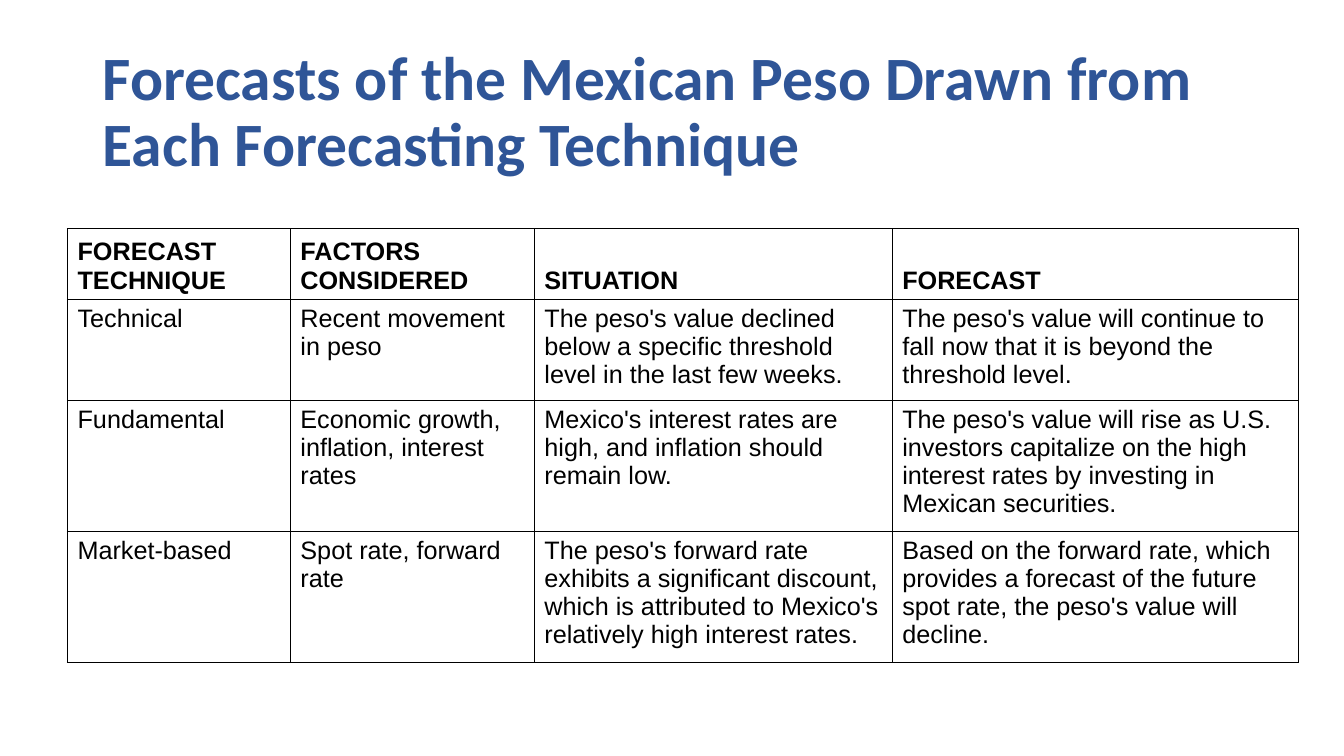
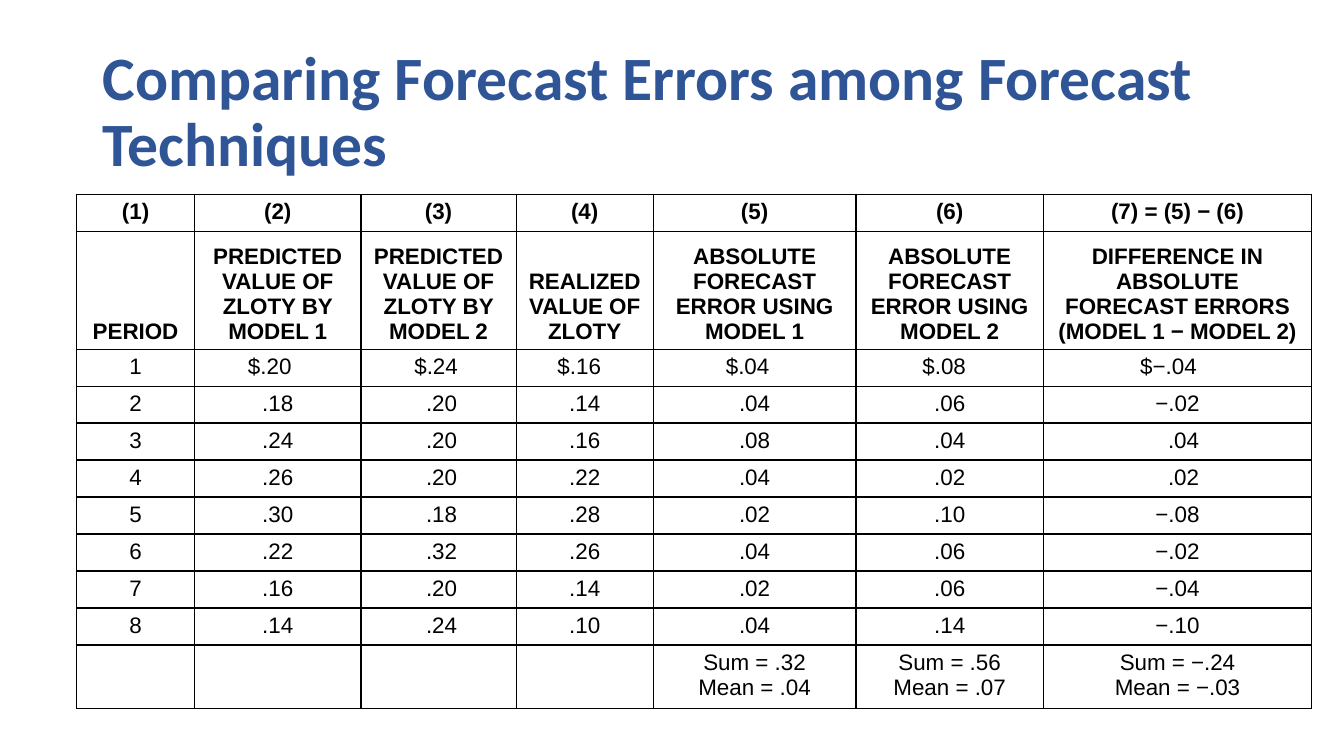
import lxml.etree
import pptx
import pptx.dml.color
import pptx.enum.text
import pptx.oxml.ns
import pptx.util

Inches = pptx.util.Inches
Pt = pptx.util.Pt
ALIGN = pptx.enum.text.PP_ALIGN
ANCHOR = pptx.enum.text.MSO_ANCHOR


def rgb(value):
    return pptx.dml.color.RGBColor.from_string(value)


class Deck:
    """Holds the shared style and the slide being built."""

    BLUE, BLACK = "2F5597", "000000"
    TITLE_FONT, BODY_FONT = "Calibri", "Arial"
    PAD = 0.1

    def __init__(self):
        self.prs = pptx.Presentation()
        self.prs.slide_width = Inches(13.33)
        self.prs.slide_height = Inches(7.5)

    def slide(self, title):
        self.s = self.prs.slides.add_slide(self.prs.slide_layouts[6])
        sp = self.s.shapes.add_textbox(Inches(0.92), Inches(0.4), Inches(11.5), Inches(1.45))
        tf = sp.text_frame
        tf.word_wrap = True
        tf.vertical_anchor = ANCHOR.MIDDLE
        p = tf.paragraphs[0]
        p.line_spacing = 0.9
        self.run(p, title, self.TITLE_FONT, 44, self.BLUE, True)

    def run(self, p, text, font, size, color, bold):
        r = p.add_run()
        r.text = text
        r.font.name = font
        r.font.size = Pt(size)
        r.font.bold = bold
        r.font.color.rgb = rgb(color)

    def borders(self, cell):
        tc_pr = cell._tc.get_or_add_tcPr()
        qn = pptx.oxml.ns.qn
        for side in ("a:lnL", "a:lnR", "a:lnT", "a:lnB"):
            ln = lxml.etree.SubElement(tc_pr, qn(side), w=str(Pt(1)))
            fill = lxml.etree.SubElement(ln, qn("a:solidFill"))
            lxml.etree.SubElement(fill, qn("a:srgbClr"), val=self.BLACK)

    def cell(self, cell, text, size, bold, align, anchor, indent):
        self.borders(cell)
        cell.fill.background()
        cell.vertical_anchor = anchor
        cell.margin_left = Inches(self.PAD + indent)
        tf = cell.text_frame
        for i, line in enumerate(text.split("\n")):
            p = tf.add_paragraph() if i else tf.paragraphs[0]
            p.alignment = align
            if line:
                self.run(p, line, self.BODY_FONT, size, self.BLACK, bold)
            else:
                p.font.size = Pt(size)

    def table(self, left, top, widths, heights, rows, size, align, headers, bottom_row,
              left_row=None, indents=None):
        frame = self.s.shapes.add_table(len(rows), len(widths), Inches(left), Inches(top),
                                        Inches(sum(widths)), Inches(sum(heights)))
        tbl = frame.table
        tbl.first_row = tbl.horz_banding = False
        for col, width in zip(tbl.columns, widths):
            col.width = Inches(width)
        for i, (row, height) in enumerate(zip(rows, heights)):
            tbl.rows[i].height = Inches(height)
            for j, text in enumerate(row):
                anchor = ANCHOR.BOTTOM if i == bottom_row else ANCHOR.TOP
                indent = (indents or {}).get((i, j), 0)
                cell_align = ALIGN.LEFT if i == left_row and indent else align
                self.cell(tbl.cell(i, j), text, size, i < headers, cell_align, anchor, indent)


def peso_forecasts(deck):
    deck.slide("Forecasts of the Mexican Peso Drawn from Each Forecasting Technique")
    rows = [
        ["FORECAST TECHNIQUE", "FACTORS CONSIDERED", "SITUATION", "FORECAST"],
        ["Technical", "Recent movement in peso",
         "The peso's value declined below a specific threshold level in the last few weeks.",
         "The peso's value will continue to fall now that it is beyond the threshold level."],
        ["Fundamental", "Economic growth, inflation, interest rates",
         "Mexico's interest rates are high, and inflation should remain low.",
         "The peso's value will rise as U.S. investors capitalize on the high interest rates "
         "by investing in Mexican securities."],
        ["Market-based", "Spot rate, forward rate",
         "The peso's forward rate exhibits a significant discount, which is attributed to "
         "Mexico's relatively high interest rates.",
         "Based on the forward rate, which provides a forecast of the future spot rate, "
         "the peso's value will decline."],
    ]
    deck.table(0.67, 2.27, [2.21, 2.42, 3.55, 4.03], [0.66, 0.94, 1.22, 1.22], rows,
               18, ALIGN.LEFT, headers=1, bottom_row=0)


def forecast_errors(deck):
    deck.slide("Comparing Forecast Errors among Forecast Techniques")
    rows = [
        ["(1)", "(2)", "(3)", "(4)", "(5)", "(6)", "(7) = (5) − (6)"],
        ["PERIOD", "PREDICTED VALUE OF ZLOTY BY MODEL 1", "PREDICTED VALUE OF ZLOTY BY MODEL 2",
         "REALIZED VALUE OF ZLOTY", "ABSOLUTE FORECAST ERROR USING MODEL 1",
         "ABSOLUTE FORECAST ERROR USING MODEL 2",
         "DIFFERENCE IN ABSOLUTE FORECAST ERRORS (MODEL 1 − MODEL 2)"],
        ["1", "$.20", "$.24", "$.16", "$.04", "$.08", "$−.04"],
        ["2", ".18", ".20", ".14", ".04", ".06", "−.02"],
        ["3", ".24", ".20", ".16", ".08", ".04", ".04"],
        ["4", ".26", ".20", ".22", ".04", ".02", ".02"],
        ["5", ".30", ".18", ".28", ".02", ".10", "−.08"],
        ["6", ".22", ".32", ".26", ".04", ".06", "−.02"],
        ["7", ".16", ".20", ".14", ".02", ".06", "−.04"],
        ["8", ".14", ".24", ".10", ".04", ".14", "−.10"],
        ["", "", "", "", "Sum = .32\nMean = .04", "Sum = .56\nMean = .07",
         "Sum = −.24\nMean = −.03"],
    ]
    dollar_row = 2
    dollar_indents = [0.43, 0.43, 0.31, 0.62, 0.56, 0.86]
    indents = {(dollar_row, j): x for j, x in enumerate(dollar_indents, 1)}
    indents.update({(i, 2): 0.06 for i in range(3, 10)})
    indents.update({(i, 6): 0.12 for i in (4, 5)})
    deck.table(0.76, 1.93, [1.17, 1.65, 1.54, 1.36, 2.01, 1.86, 2.66],
               [0.35, 1.11] + [0.35] * 8 + [0.61], rows, 16, ALIGN.CENTER,
               headers=2, bottom_row=1, left_row=dollar_row, indents=indents)


def main():
    deck = Deck()
    peso_forecasts(deck)
    forecast_errors(deck)
    deck.prs.save("out.pptx")


if __name__ == "__main__":
    main()
